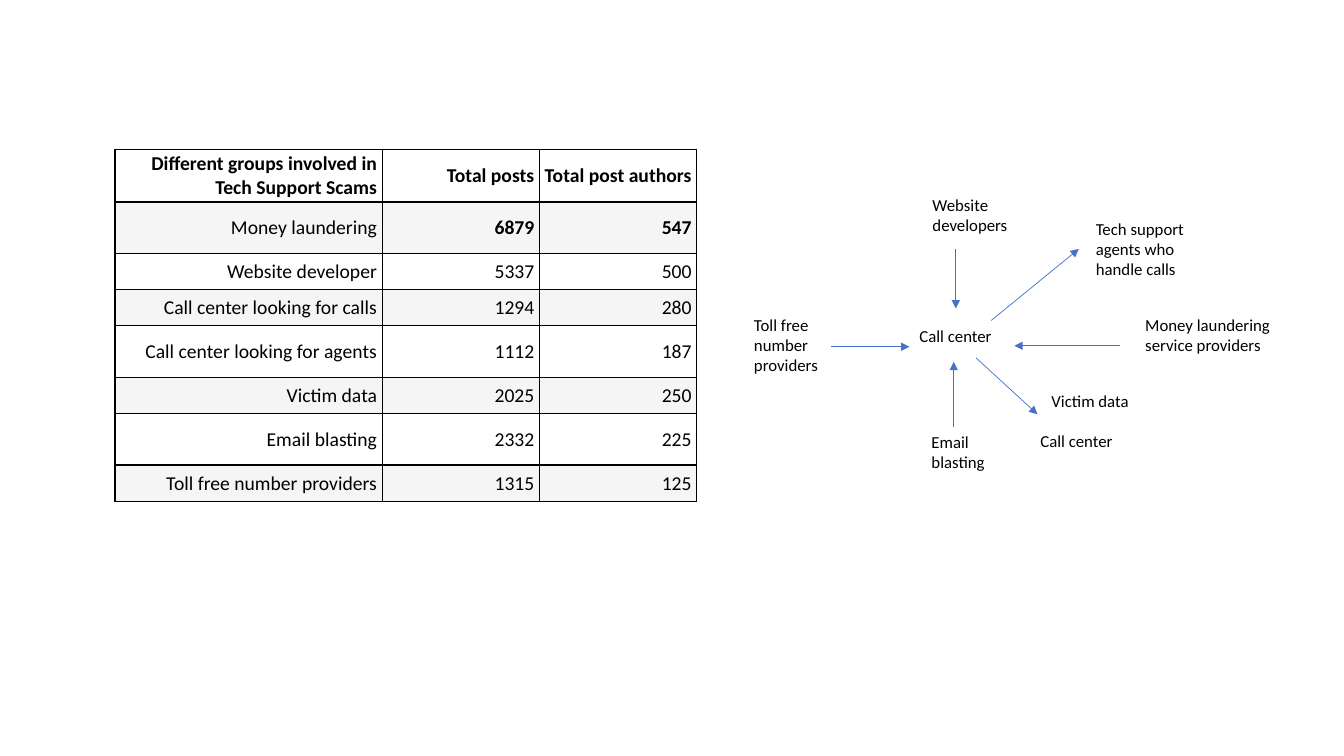
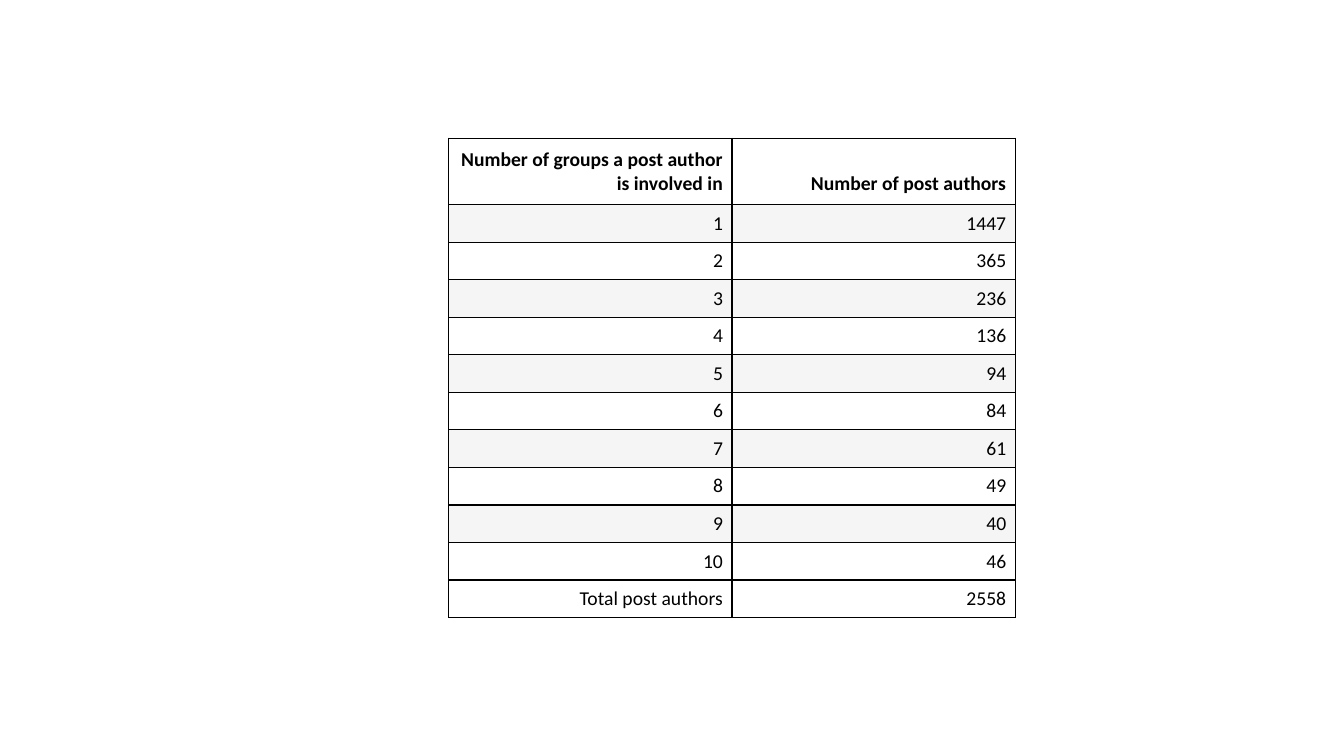
import pptx
import pptx.util
import pptx.dml.color
import pptx.enum.shapes
import pptx.enum.text
import pptx.oxml.ns
from lxml import etree

Inches, Pt = pptx.util.Inches, pptx.util.Pt
RGB = pptx.dml.color.RGBColor
ANCHOR = pptx.enum.text.MSO_ANCHOR
ALIGN = pptx.enum.text.PP_ALIGN
qn = pptx.oxml.ns.qn

BLACK = RGB(0x00, 0x00, 0x00)
WHITE = RGB(0xFF, 0xFF, 0xFF)
BAND = RGB(0xF5, 0xF5, 0xF5)
ARROW = RGB(0x44, 0x72, 0xC4)
FONT = "Calibri"


def style_paragraph(p, size, alignment, bold=False):
    p.alignment = alignment
    p.font.name, p.font.size, p.font.bold = FONT, Pt(size), bold
    p.font.color.rgb = BLACK


def add_borders(cell):
    tcPr = cell._tc.get_or_add_tcPr()
    for i, side in enumerate(("lnL", "lnR", "lnT", "lnB")):
        ln = etree.Element(qn("a:" + side), w=str(Pt(1)))
        fill = etree.SubElement(ln, qn("a:solidFill"))
        etree.SubElement(fill, qn("a:srgbClr"), val=str(BLACK))
        tcPr.insert(i, ln)


def add_data_table(s, left, top, widths, heights, rows, pad,
                   bold_cells=(), total_row=False):
    """Right-aligned grid with a bold header and grey odd rows."""
    table = s.shapes.add_table(
        len(rows), len(widths), Inches(left), Inches(top),
        Inches(sum(widths)), Inches(sum(heights))).table
    for column, width in zip(table.columns, widths):
        column.width = Inches(width)
    for i, (values, height) in enumerate(zip(rows, heights)):
        table.rows[i].height = Inches(height)
        banded = i % 2 == 1 and not (total_row and i == len(rows) - 1)
        for j, value in enumerate(values):
            cell = table.cell(i, j)
            cell.text = str(value)
            cell.vertical_anchor = ANCHOR.MIDDLE
            (cell.margin_left, cell.margin_top,
             cell.margin_right, cell.margin_bottom) = map(Inches, pad)
            cell.fill.solid()
            cell.fill.fore_color.rgb = BAND if banded else WHITE
            style_paragraph(cell.text_frame.paragraphs[0], 14, ALIGN.RIGHT,
                            i == 0 or (i, j) in bold_cells)
            add_borders(cell)
    return table


def write_label(sp, text):
    tf = sp.text_frame
    tf.word_wrap = True
    tf.vertical_anchor = ANCHOR.TOP
    tf.text = text
    style_paragraph(tf.paragraphs[0], 12, ALIGN.LEFT)


def add_group_box(s, text, *box):
    sp = s.shapes.add_shape(
        pptx.enum.shapes.MSO_SHAPE.RECTANGLE, *map(Inches, box))
    sp.shadow.inherit = False
    sp.fill.solid()
    sp.fill.fore_color.rgb = WHITE
    sp.line.fill.background()
    write_label(sp, text)


def add_arrow(s, *ends):
    line = s.shapes.add_connector(
        pptx.enum.shapes.MSO_CONNECTOR.STRAIGHT, *map(Inches, ends))
    line.line.color.rgb = ARROW
    line.line.width = Pt(0.5)
    etree.SubElement(line.line._get_or_add_ln(), qn("a:tailEnd"), type="triangle")
    etree.SubElement(line._element.spPr, qn("a:effectLst"))


def add_call_center_diagram(s, left, top):
    # Hub
    hub = s.shapes.add_textbox(
        Inches(left + 1.64), Inches(top + 1.3), Inches(1.05), Inches(0.74))
    write_label(hub, "Call center")
    # Groups around it: text, offset and size
    for text, x, y, width, height in (
            ("Toll free number providers", 0, 1.19, 0.86, 0.85),
            ("Website developers", 1.77, 0, 1.25, 0.6),
            ("Money laundering service providers", 3.88, 1.19, 1.45, 0.51),
            ("Email blasting", 1.76, 2.35, 1.05, 0.74),
            ("Tech support agents who handle calls", 3.39, 0.24, 1.45, 0.82),
            ("Call center", 2.84, 2.34, 1.45, 0.51),
            ("Victim data", 2.95, 1.95, 1.05, 0.31)):
        add_group_box(s, text, left + x, top + y, width, height)
    # Arrows: start and end offsets
    for x1, y1, x2, y2 in (
            (0.86, 1.56, 1.64, 1.56),
            (2.1, 0.59, 2.1, 1.18),
            (3.73, 1.55, 2.68, 1.55),
            (2.08, 2.36, 2.08, 1.71),
            (2.45, 1.3, 3.32, 0.59),
            (2.3, 1.67, 2.91, 2.23)):
        add_arrow(s, left + x1, top + y1, left + x2, top + y2)


def build_groups_slide(s):
    rows = [
        ("Different groups involved in Tech Support Scams",
         "Total posts", "Total post authors"),
        ("Money laundering", 6879, 547),
        ("Website developer", 5337, 500),
        ("Call center looking for calls", 1294, 280),
        ("Call center looking for agents", 1112, 187),
        ("Victim data", 2025, 250),
        ("Email blasting", 2332, 225),
        ("Toll free number providers", 1315, 125),
    ]
    add_data_table(
        s, 1.14, 1.48, (2.65, 1.56, 1.56),
        (0.52, 0.51, 0.36, 0.36, 0.51, 0.36, 0.51, 0.36), rows,
        pad=(0.04, 0.03, 0.05, 0.02), bold_cells={(1, 1), (1, 2)})
    add_call_center_diagram(s, 7.38, 1.88)


def build_authors_slide(s):
    counts = (1447, 365, 236, 136, 94, 84, 61, 49, 40, 46)
    rows = [("Number of groups a post author is involved in",
             "Number of post authors"),
            *enumerate(counts, 1),
            ("Total post authors", sum(counts))]
    height, header = 4.76, 0.66
    body_rows = len(rows) - 1
    heights = [header] + [(height - header) / body_rows] * body_rows
    table = add_data_table(
        s, 4.45, 1.37, (2.81, 2.81), heights, rows,
        pad=(0.09, 0.05, 0.09, 0.05), total_row=True)
    # The short heading sits level with the second line of the long one
    heading = table.cell(0, 1)
    heading.vertical_anchor = ANCHOR.BOTTOM
    heading.margin_bottom = Inches(0.09)


prs = pptx.Presentation()
prs.slide_width, prs.slide_height = Inches(13.33), Inches(7.5)
for build in (build_groups_slide, build_authors_slide):
    build(prs.slides.add_slide(prs.slide_layouts[6]))
prs.save("out.pptx")
